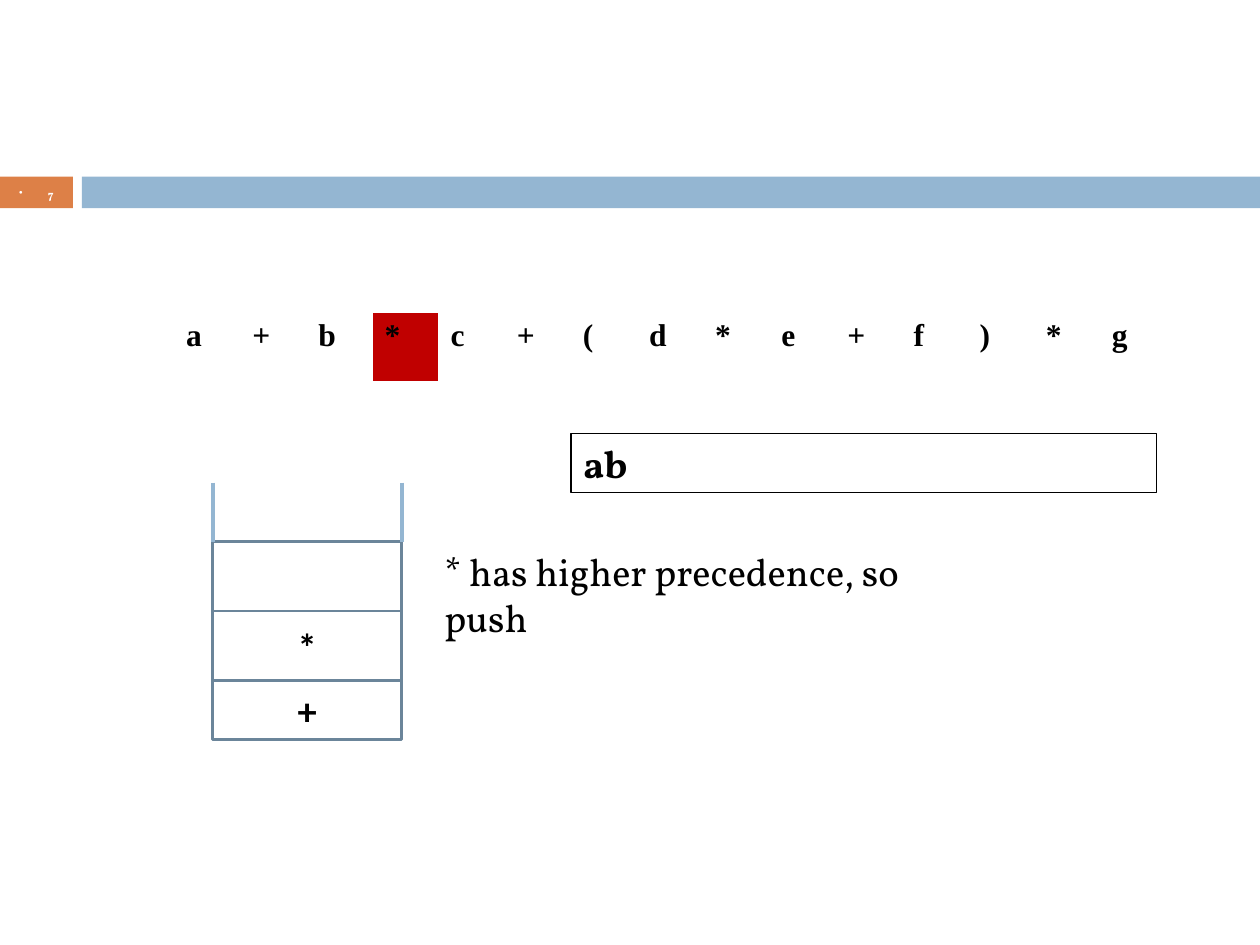
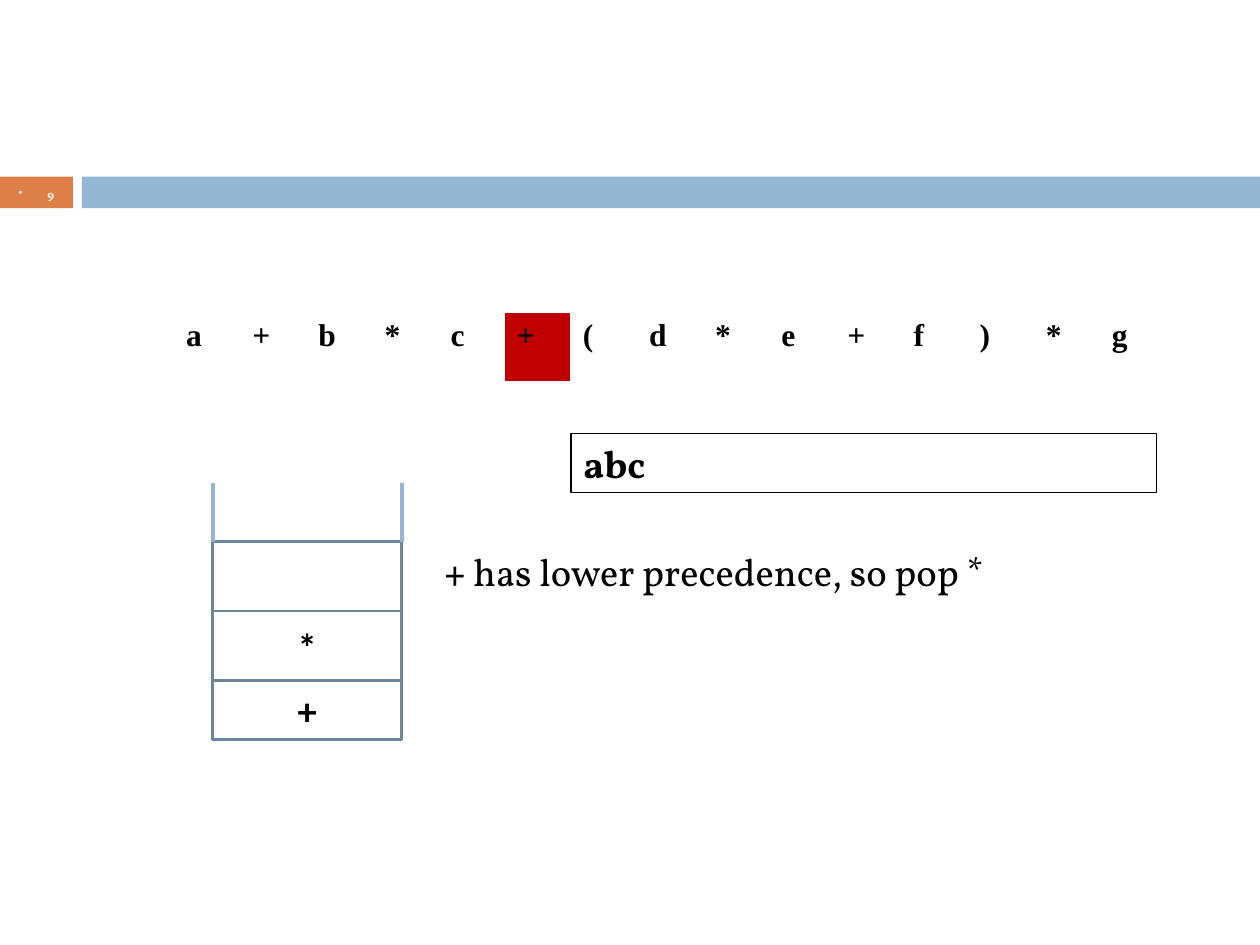
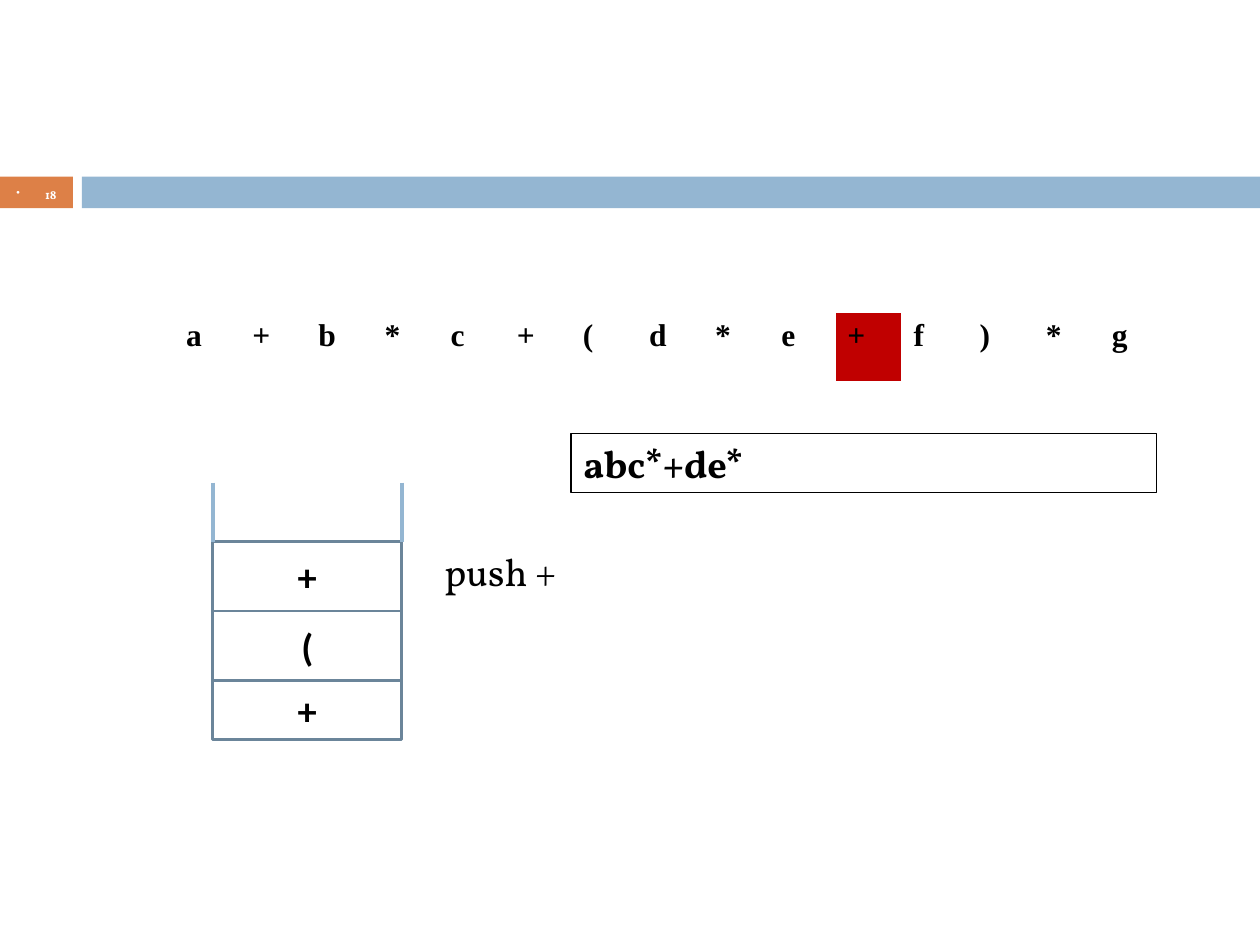
from lxml.etree import SubElement
from pptx import Presentation
from pptx.dml.color import RGBColor
from pptx.enum.shapes import MSO_CONNECTOR, MSO_SHAPE
from pptx.enum.text import MSO_ANCHOR, PP_ALIGN
from pptx.oxml.ns import qn
from pptx.util import Cm, Pt

TOKENS = "a + b * c + ( d * e + f ) * g".split()

# mark: index of the token being read; stack: from the bottom up;
# note: (text, bold) runs
STEPS = [
    dict(page="7", mark=3, out="ab", stack=["+", "*", ""],
         note=[("* has higher precedence, so push", False)]),
    dict(page="9", mark=5, out="abc", stack=["+", "*", ""],
         note=[("+", True), (" has lower precedence, so pop *", False)]),
    dict(page="18", mark=10, out="abc*+de*", stack=["+", "(", "+"],
         note=[("push +", False)]),
]

WHITE, BLACK, RED = "FFFFFF", "000000", "C00000"
ORANGE, BLUE, SLATE = "DD8047", "94B6D2", "6B859A"
SERIF, SANS, ROMAN = "Vollkorn", "Calibri", "Times New Roman"

WIDE, HIGH = 25.4, 19.05
BAND_TOP, BAND_H = 3.56, 0.64
TAG_W, BAND_X = 1.47, 1.65
ROW_X, ROW_Y, ROW_W, ROW_H = 3.5, 6.3, 20, 1.4
STACK_X, STACK_W, STACK_END = 4.29, 3.81, 14.91
SLOTS = [1.19, 1.4, 1.4]
WALL_H = 1.19
EDGES = [("a:lnL", 0.45), ("a:lnR", 0.45), ("a:lnT", 0.45), ("a:lnB", 1.47)]


def tint(code):
    return RGBColor.from_string(code)


def paint(fill, code):
    fill.solid()
    fill.fore_color.rgb = tint(code)


def write(para, text, font, size, bold=True, color=BLACK):
    run = para.add_run()
    run.text = text
    run.font.name = font
    run.font.size = Pt(size)
    run.font.bold = bold
    run.font.color.rgb = tint(color)


def add_rect(slide, box, fill, line=None, weight=0):
    shape = slide.shapes.add_shape(MSO_SHAPE.RECTANGLE, *map(Cm, box))
    shape.shadow.inherit = False
    paint(shape.fill, fill)
    if line:
        shape.line.color.rgb = tint(line)
        shape.line.width = Pt(weight)
    else:
        shape.line.fill.background()
    shape.text_frame.word_wrap = True
    return shape


def add_text(slide, box):
    frame = slide.shapes.add_textbox(*map(Cm, box)).text_frame
    frame.word_wrap = True
    return frame


def add_bullet(para, indent):
    props = para._p.get_or_add_pPr()
    props.set("marL", str(Cm(indent)))
    props.set("indent", str(-Cm(indent)))
    color = SubElement(props, qn("a:buClr"))
    SubElement(color, qn("a:srgbClr"), val=WHITE)
    SubElement(props, qn("a:buSzPct"), val="85000")
    SubElement(props, qn("a:buChar"), char="•")


def add_band(slide, page):
    add_rect(slide, (0, BAND_TOP, TAG_W, BAND_H), ORANGE)
    add_rect(slide, (BAND_X, BAND_TOP, WIDE - BAND_X, BAND_H), BLUE)
    frame = add_text(slide, (0, 3.53, TAG_W, 0.69))
    frame.vertical_anchor = MSO_ANCHOR.MIDDLE
    para = frame.paragraphs[0]
    para.alignment = PP_ALIGN.CENTER
    para.line_spacing = 1.3
    add_bullet(para, 0.58)
    write(para, page, SERIF, 7, color=WHITE)


def add_edges(cell):
    props = cell._tc.get_or_add_tcPr()
    for spot, (tag, weight) in enumerate(EDGES):
        edge = props.makeelement(qn(tag), {"w": str(Pt(weight))})
        fill = SubElement(edge, qn("a:solidFill"))
        SubElement(fill, qn("a:srgbClr"), val=WHITE)
        props.insert(spot, edge)


def add_tokens(slide, mark):
    box = map(Cm, (ROW_X, ROW_Y, ROW_W, ROW_H))
    table = slide.shapes.add_table(1, len(TOKENS), *box).table
    table.first_row = table.horz_banding = False
    for col, token in enumerate(TOKENS):
        table.columns[col].width = Cm(ROW_W / len(TOKENS))
        cell = table.cell(0, col)
        paint(cell.fill, RED if col == mark else WHITE)
        add_edges(cell)
        write(cell.text_frame.paragraphs[0], token, ROMAN, 18)


def add_stack(slide, items):
    top = STACK_END
    for item, high in zip(items, SLOTS):
        top -= high
        slot = add_rect(slide, (STACK_X, top, STACK_W, high),
                        WHITE, SLATE, 1.5)
        if item:
            slot.text_frame.vertical_anchor = MSO_ANCHOR.MIDDLE
            para = slot.text_frame.paragraphs[0]
            para.alignment = PP_ALIGN.CENTER
            write(para, item, SANS, 22)
    for x in (STACK_X, STACK_X + STACK_W):
        wall = slide.shapes.add_connector(
            MSO_CONNECTOR.STRAIGHT, *map(Cm, (x, top - WALL_H, x, top)))
        wall.line.color.rgb = tint(BLUE)
        wall.line.width = Pt(2.5)
        SubElement(wall._element.spPr, qn("a:effectLst"))


def add_output(slide, text):
    shape = add_rect(slide, (11.51, 8.74, 11.81, 1.19), WHITE, BLACK, 0.75)
    shape.text_frame.vertical_anchor = MSO_ANCHOR.TOP
    para = shape.text_frame.paragraphs[0]
    para.alignment = PP_ALIGN.LEFT
    write(para, text, SERIF, 22)


def add_note(slide, runs):
    para = add_text(slide, (8.71, 10.92, 11.4, 2.13)).paragraphs[0]
    for text, bold in runs:
        write(para, text, SERIF, 22, bold)


def main():
    deck = Presentation()
    deck.slide_width, deck.slide_height = Cm(WIDE), Cm(HIGH)
    for step in STEPS:
        slide = deck.slides.add_slide(deck.slide_layouts[6])
        add_band(slide, step["page"])
        add_tokens(slide, step["mark"])
        add_stack(slide, step["stack"])
        add_output(slide, step["out"])
        add_note(slide, step["note"])
    deck.save("out.pptx")


if __name__ == "__main__":
    main()
